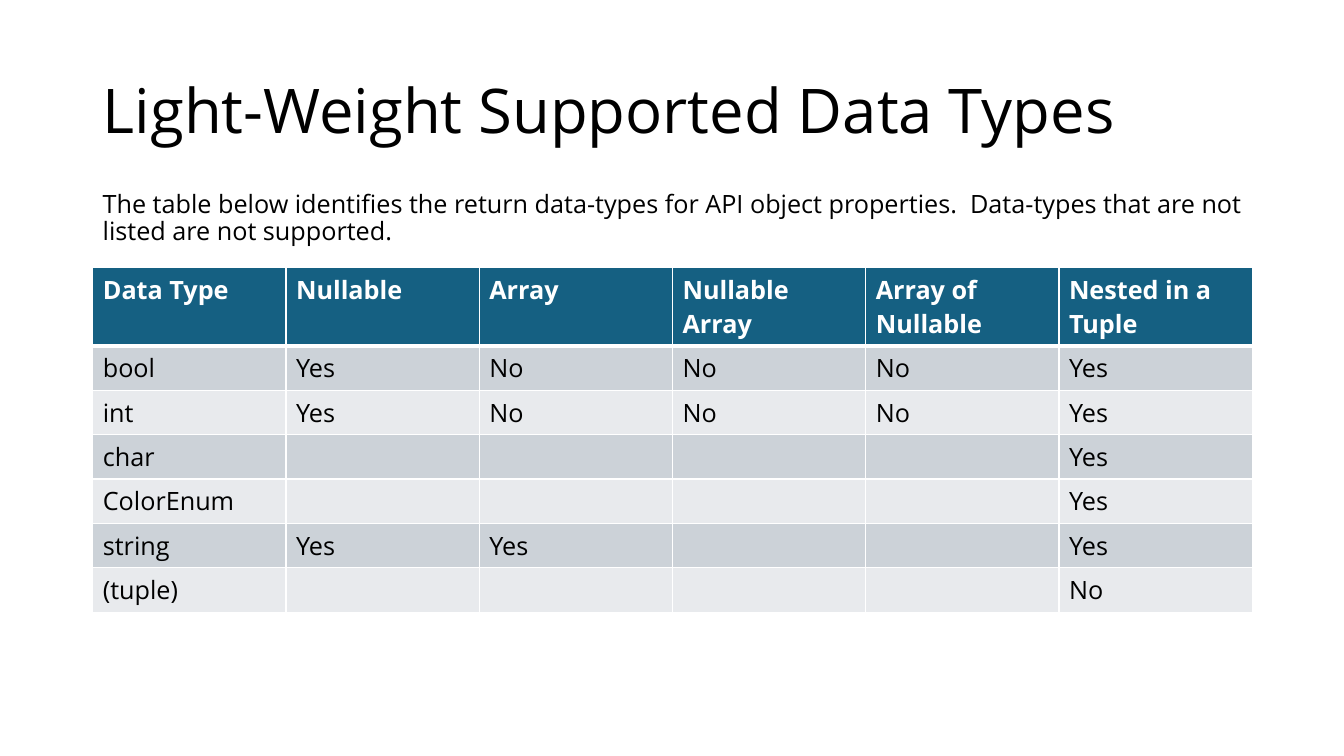
"""Build the slide listing the supported data types of a light-weight API."""
from dataclasses import dataclass

from lxml import etree
from pptx import Presentation
from pptx.dml.color import RGBColor
from pptx.enum.text import MSO_ANCHOR, PP_ALIGN
from pptx.oxml.ns import qn
from pptx.slide import Slide
from pptx.table import _Cell
from pptx.text.text import TextFrame
from pptx.util import Inches, Pt

LEFT = PP_ALIGN.LEFT
TOP = MSO_ANCHOR.TOP
MIDDLE = MSO_ANCHOR.MIDDLE
TITLE_ONLY = 5
FONT = "Open Sans"
COLORS = {
    "text": "000000",
    "white": "FFFFFF",
    "header": "156082",
    "odd": "CCD2D8",
    "even": "E8EAED",
}
MARGIN = Inches(0.92)
CONTENT_WIDTH = Inches(11.5)
ROW_HEIGHT = Inches(0.41)
HEADINGS = ("Data Type", "Nullable", "Array", "Nullable Array",
            "Array of Nullable", "Nested in a Tuple")


@dataclass(frozen=True)
class DataType:
    """Support for one data type, in the order of the headings."""

    name: str
    nullable: str = ""
    array: str = ""
    nullable_array: str = ""
    array_of_nullable: str = ""
    nested: str = "Yes"

    def values(self) -> tuple[str, ...]:
        """Return the row of cell texts."""
        return (self.name, self.nullable, self.array, self.nullable_array,
                self.array_of_nullable, self.nested)


DATA_TYPES = (
    DataType("bool", "Yes", "No", "No", "No"),
    DataType("int", "Yes", "No", "No", "No"),
    DataType("char"),
    DataType("ColorEnum"),
    DataType("string", "Yes", "Yes"),
    DataType("(tuple)", nested="No"),
)


def write(frame: TextFrame, text: str, size: int, color: str = "text",
          bold: bool = False) -> None:
    """Put one left-aligned, formatted paragraph into a text frame."""
    frame.text = text
    paragraph = frame.paragraphs[0]
    paragraph.alignment = LEFT
    paragraph.font.size = Pt(size)
    for run in paragraph.runs:
        run.font.name = FONT
        run.font.size = Pt(size)
        run.font.bold = bold
        run.font.color.rgb = RGBColor.from_string(COLORS[color])


def add_borders(cell: _Cell, top: int, bottom: int) -> None:
    """Draw white borders, with the top and bottom widths in points."""
    properties = cell._tc.get_or_add_tcPr()
    for side, width in (("L", 1), ("R", 1), ("T", top), ("B", bottom)):
        line = etree.SubElement(properties, qn(f"a:ln{side}"), w=str(Pt(width)))
        fill = etree.SubElement(line, qn("a:solidFill"))
        etree.SubElement(fill, qn("a:srgbClr"), val=COLORS["white"])


def add_title(slide: Slide) -> None:
    """Place and format the title."""
    title = slide.shapes.title
    title.left, title.top = MARGIN, Inches(0.4)
    title.width, title.height = CONTENT_WIDTH, Inches(1.45)
    write(title.text_frame, "Light-Weight Supported Data Types", 44)
    title.text_frame.vertical_anchor = MIDDLE
    title.text_frame.paragraphs[0].line_spacing = 0.9


def add_introduction(slide: Slide) -> None:
    """Add the sentence above the table."""
    box = slide.shapes.add_textbox(MARGIN, Inches(1.85), CONTENT_WIDTH, Inches(0.8))
    frame = box.text_frame
    frame.word_wrap = True
    frame.vertical_anchor = TOP
    write(frame, "The table below identifies the return data-types for API object "
                 "properties.  Data-types that are not listed are not supported.", 18)
    frame.paragraphs[0].line_spacing = 0.9


def add_type_table(slide: Slide) -> None:
    """Add the table of data types."""
    rows = (HEADINGS, *(data_type.values() for data_type in DATA_TYPES))
    table = slide.shapes.add_table(
        len(rows), len(HEADINGS), MARGIN, Inches(2.65),
        CONTENT_WIDTH, ROW_HEIGHT * len(rows)).table
    for row_index, values in enumerate(rows):
        is_header = row_index == 0
        fill = "header" if is_header else "odd" if row_index % 2 else "even"
        for column_index, value in enumerate(values):
            cell = table.cell(row_index, column_index)
            write(cell.text_frame, value, 18, "white" if is_header else "text", is_header)
            add_borders(cell, 3 if row_index == 1 else 1, 3 if is_header else 1)
            cell.fill.solid()
            cell.fill.fore_color.rgb = RGBColor.from_string(COLORS[fill])


def main() -> None:
    """Build and save the presentation."""
    presentation = Presentation()
    presentation.slide_width = Inches(13.33)
    presentation.slide_height = Inches(7.5)
    slide = presentation.slides.add_slide(presentation.slide_layouts[TITLE_ONLY])
    add_title(slide)
    add_type_table(slide)
    add_introduction(slide)
    presentation.save("out.pptx")


if __name__ == "__main__":
    main()
